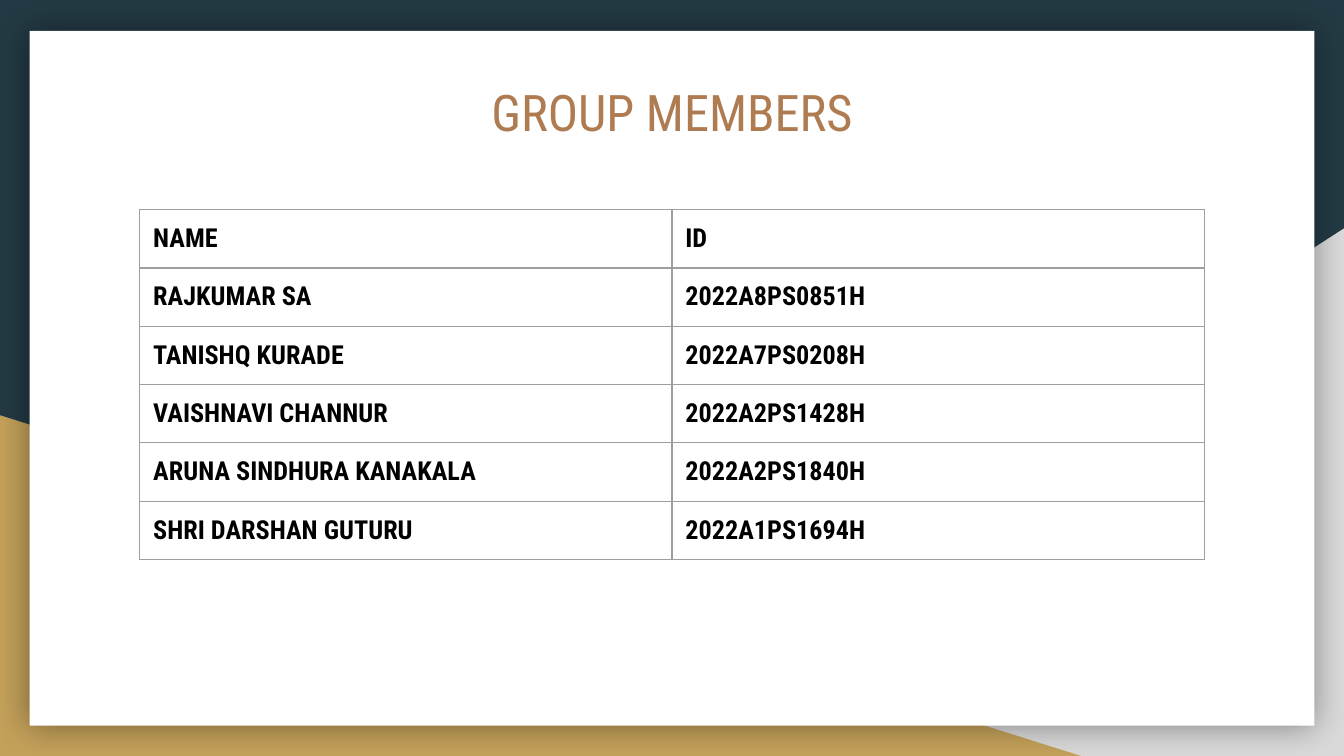
from lxml import etree
from pptx import Presentation
from pptx.dml.color import RGBColor
from pptx.enum.shapes import MSO_SHAPE
from pptx.enum.text import MSO_ANCHOR, PP_ALIGN
from pptx.oxml.ns import qn
from pptx.util import Inches, Pt

RECT, TRIANGLE = MSO_SHAPE.RECTANGLE, MSO_SHAPE.RIGHT_TRIANGLE
TOP, CENTER = MSO_ANCHOR.TOP, PP_ALIGN.CENTER
FONT = "Roboto Condensed"
COLORS = {
    "navy": "233A44", "gray": "D9D9D9", "gold": "C4A15A", "white": "FFFFFF",
    "title": "AF7B51", "black": "000000", "border": "9E9E9E",
}
MEMBERS = [
    ("NAME", "ID"),
    ("RAJKUMAR SA", "2022A8PS0851H"),
    ("TANISHQ KURADE", "2022A7PS0208H"),
    ("VAISHNAVI CHANNUR", "2022A2PS1428H"),
    ("ARUNA SINDHURA KANAKALA", "2022A2PS1840H"),
    ("SHRI DARSHAN GUTURU", "2022A1PS1694H"),
]


def rgb(name):
    return RGBColor.from_string(COLORS[name])


def add_color(parent, name, alpha=None):
    """Append a colour element, with an optional opacity in percent."""
    color = etree.SubElement(parent, qn("a:srgbClr"), val=COLORS[name])
    if alpha is not None:
        etree.SubElement(color, qn("a:alpha"), val=str(alpha * 1000))


class SlideBuilder:
    def __init__(self, slide, font):
        self.slide = slide
        self.font = font

    def background(self, color):
        fill = self.slide.background.fill
        fill.solid()
        fill.fore_color.rgb = rgb(color)

    def shape(self, kind, x, y, w, h, color, flip=False):
        s = self.slide.shapes.add_shape(kind, Inches(x), Inches(y), Inches(w), Inches(h))
        s.shadow.inherit = False
        s.fill.solid()
        s.fill.fore_color.rgb = rgb(color)
        s.line.fill.background()
        if flip:
            s._element.spPr.find(qn("a:xfrm")).set("flipH", "1")
        return s

    def glow_shadow(self, s, color, alpha, blur):
        """Give the shape a soft shadow spread evenly on all sides."""
        effects = s._element.spPr.find(qn("a:effectLst"))
        shadow = etree.SubElement(effects, qn("a:outerShdw"), blurRad=str(Pt(blur)),
                                  dist="0", dir="0", algn="ctr", rotWithShape="0")
        add_color(shadow, color, alpha)

    def style_text(self, tf, size, color, bold=False):
        for p in tf.paragraphs:
            for r in p.runs:
                r.font.name = self.font
                r.font.size = Pt(size)
                r.font.bold = bold
                r.font.color.rgb = rgb(color)

    def set_margins(self, box):
        """Inset the text of a text frame or a table cell equally on all sides."""
        box.margin_left = box.margin_right = Inches(0.1)
        box.margin_top = box.margin_bottom = Inches(0.1)

    def title(self, text, x, y, w, h, size, color):
        s = self.slide.shapes.add_textbox(Inches(x), Inches(y), Inches(w), Inches(h))
        tf = s.text_frame
        tf.word_wrap = True
        tf.vertical_anchor = TOP
        tf.text = text
        tf.paragraphs[0].alignment = CENTER
        self.set_margins(tf)
        self.style_text(tf, size, color)

    def cell_borders(self, cell, color, width):
        props = cell._tc.get_or_add_tcPr()
        for i, side in enumerate(("lnL", "lnR", "lnT", "lnB")):
            line = etree.Element(qn(f"a:{side}"), w=str(Pt(width)))
            add_color(etree.SubElement(line, qn("a:solidFill")), color)
            props.insert(i, line)

    def table(self, rows, x, y, col_width, row_height):
        n_rows, n_cols = len(rows), len(rows[0])
        frame = self.slide.shapes.add_table(
            n_rows, n_cols, Inches(x), Inches(y),
            Inches(col_width * n_cols), Inches(row_height * n_rows))
        table = frame.table
        table.first_row = table.horz_banding = False
        for col in table.columns:
            col.width = Inches(col_width)
        for row, values in zip(table.rows, rows):
            row.height = Inches(row_height)
            for cell, value in zip(row.cells, values):
                cell.text_frame.text = value
                self.style_text(cell.text_frame, 14, "black", bold=True)
                self.set_margins(cell)
                cell.fill.background()
                self.cell_borders(cell, "border", 0.75)


def main():
    prs = Presentation()
    prs.slide_width = Inches(10)
    prs.slide_height = prs.slide_width * 9 // 16
    b = SlideBuilder(prs.slides.add_slide(prs.slide_layouts[6]), FONT)

    b.background("navy")
    b.shape(TRIANGLE, 3.92, 1.7, 6.08, 3.93, "gray", flip=True)
    b.shape(TRIANGLE, 0, 3.09, 8.06, 2.54, "gold")
    panel = b.shape(RECT, 0.22, 0.23, 9.56, 5.17, "white")
    b.glow_shadow(panel, "black", alpha=40, blur=18)

    b.title("GROUP MEMBERS", 0.34, 0.5, 9.32, 0.67, 27, "title")
    b.table(MEMBERS, 1.04, 1.56, col_width=3.96, row_height=0.42)
    prs.save("out.pptx")


if __name__ == "__main__":
    main()
